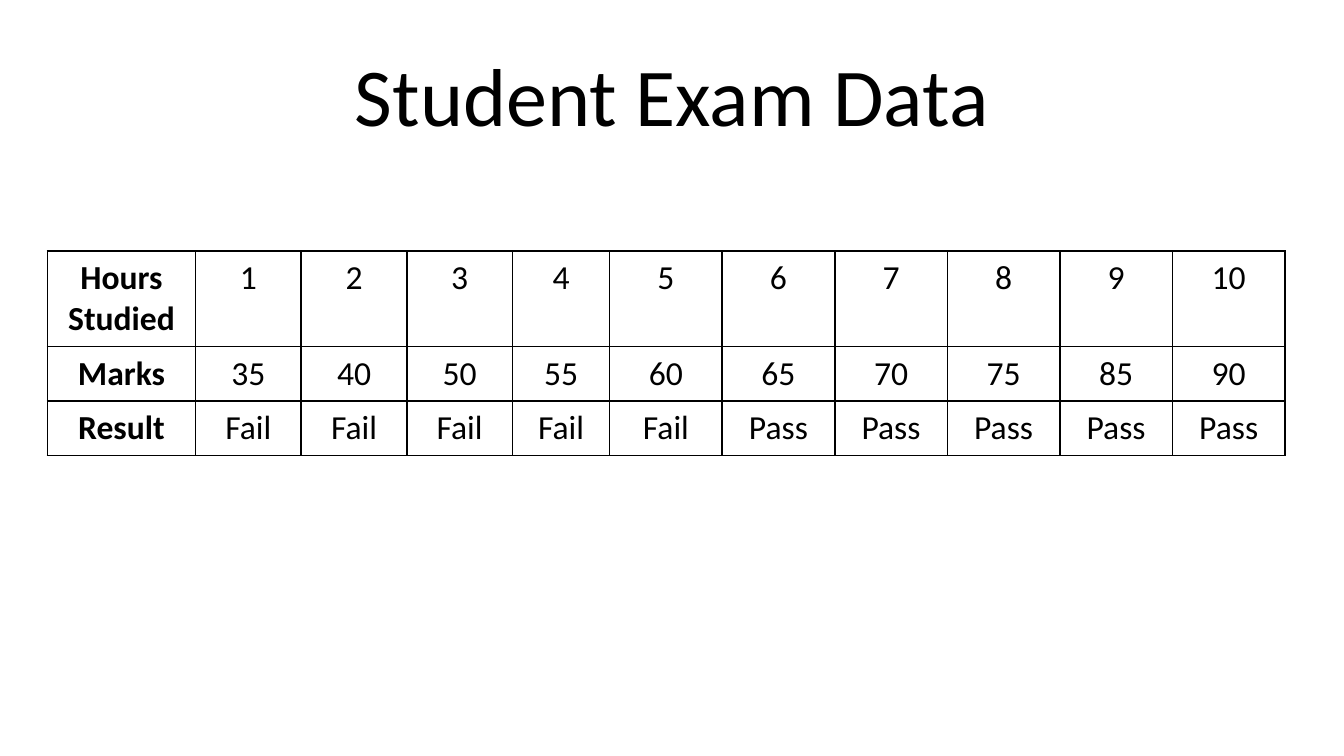
from lxml import etree
from pptx import Presentation
from pptx.dml.color import RGBColor
from pptx.enum.text import MSO_ANCHOR, PP_ALIGN
from pptx.oxml.ns import qn
from pptx.util import Pt

CENTER = PP_ALIGN.CENTER
MIDDLE = MSO_ANCHOR.MIDDLE
TITLE_ONLY = 5
FONT = "Calibri"
BLACK = "000000"

EXAM_ROWS = [
    ("Hours Studied", list(range(1, 11))),
    ("Marks", [35, 40, 50, 55, 60, 65, 70, 75, 85, 90]),
    ("Result", ["Fail"] * 5 + ["Pass"] * 5),
]
COL_WIDTHS = [79.4] + [56.6] * 3 + [52.1] + [60.3] * 6
ROW_HEIGHTS = [51.2, 29.2, 29.2]


def rgb(color):
    return RGBColor.from_string(color)


def write_text(tf, text, size, bold=False):
    tf.text = text
    p = tf.paragraphs[0]
    p.alignment = CENTER
    font = p.runs[0].font
    font.name, font.size, font.bold = FONT, Pt(size), bold
    font.color.rgb = rgb(BLACK)


def add_borders(cell, color, width):
    tc_pr = cell._tc.get_or_add_tcPr()
    for side in ("a:lnL", "a:lnR", "a:lnT", "a:lnB"):
        line = etree.SubElement(tc_pr, qn(side), w=str(Pt(width)))
        fill = etree.SubElement(line, qn("a:solidFill"))
        etree.SubElement(fill, qn("a:srgbClr"), val=color)


def set_title(s, text):
    title = s.shapes.title
    title.left, title.top = Pt(36), Pt(16.5)
    title.width, title.height = Pt(648), Pt(67.5)
    write_text(title.text_frame, text, 44)
    title.text_frame.vertical_anchor = MIDDLE


def add_exam_table(s, left, top):
    frame = s.shapes.add_table(
        len(EXAM_ROWS), len(COL_WIDTHS), Pt(left), Pt(top),
        Pt(sum(COL_WIDTHS)), Pt(sum(ROW_HEIGHTS)))
    table = frame.table
    table.first_row = table.horz_banding = False
    for column, width in zip(table.columns, COL_WIDTHS):
        column.width = Pt(width)
    for row, height, (label, values) in zip(table.rows, ROW_HEIGHTS, EXAM_ROWS):
        row.height = Pt(height)
        for i, (cell, value) in enumerate(zip(row.cells, [label] + values)):
            write_text(cell.text_frame, str(value), 18, bold=i == 0)
            add_borders(cell, BLACK, 1)
            cell.fill.background()


def main():
    prs = Presentation()
    prs.slide_width, prs.slide_height = Pt(720), Pt(405)
    s = prs.slides.add_slide(prs.slide_layouts[TITLE_ONLY])
    set_title(s, "Student Exam Data")
    add_exam_table(s, 25.4, 134.5)
    prs.save("out.pptx")


if __name__ == "__main__":
    main()
